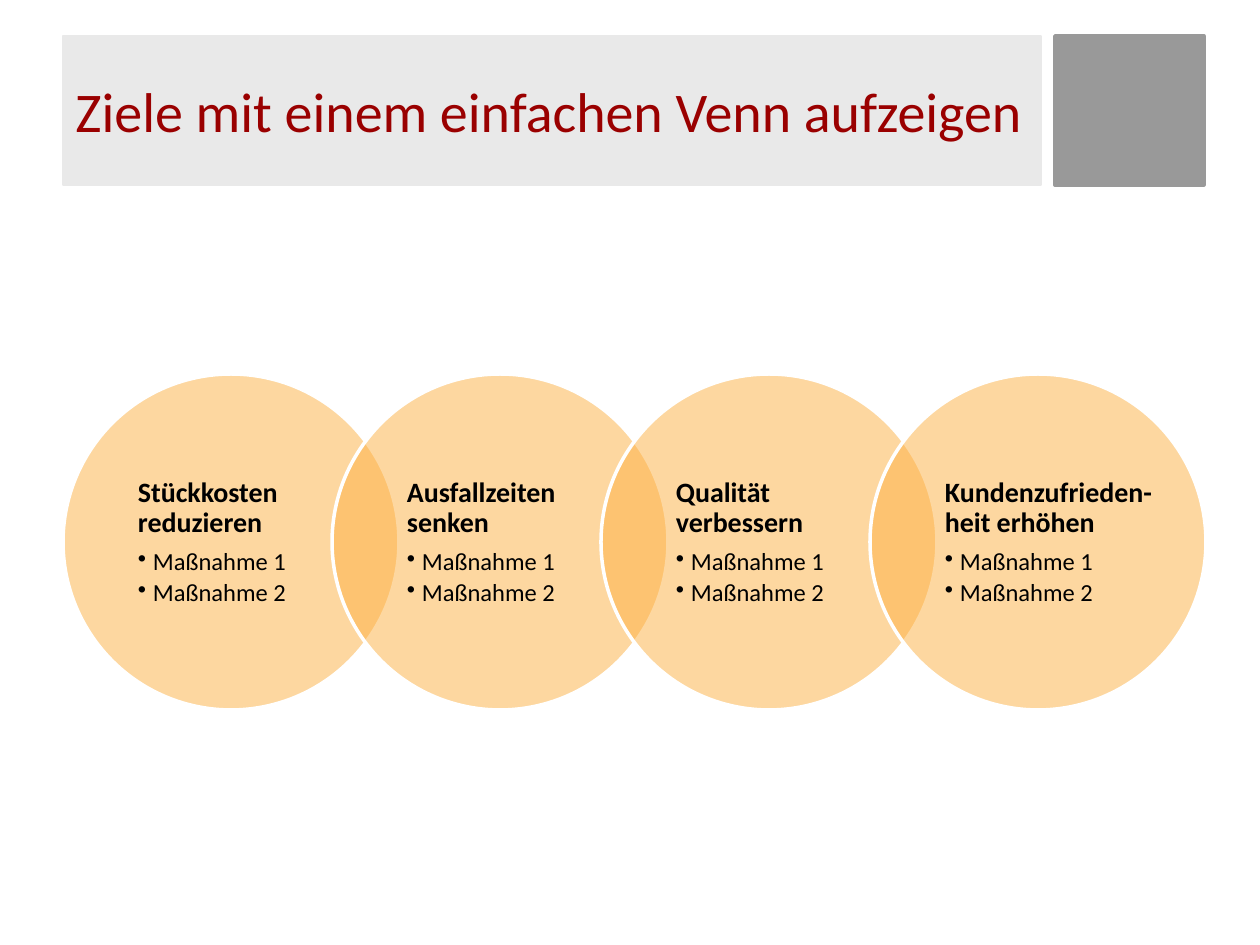
from lxml.etree import SubElement
from pptx import Presentation
from pptx.dml.color import RGBColor
from pptx.enum.shapes import MSO_SHAPE
from pptx.enum.text import MSO_ANCHOR, PP_ALIGN
from pptx.oxml.ns import qn
from pptx.util import Emu, Pt

SCALE = 914400 / 126
COLORS = {
    "title": "9A0000",
    "band": "E9E9E9",
    "block": "999999",
    "circle": "FDB143",
    "edge": "FFFFFF",
    "text": "000000",
}
GOALS = [
    "Stückkosten reduzieren",
    "Ausfallzeiten senken",
    "Qualität verbessern",
    "Kundenzufrieden-heit erhöhen",
]
STEPS = ["Maßnahme 1", "Maßnahme 2"]
LEFT, TOP, SIZE, PITCH = 63, 374, 336, 269


def px(count):
    return Emu(round(count * SCALE))


def color(name):
    return RGBColor.from_string(COLORS[name])


class Board:
    def __init__(self, slide, face="Calibri"):
        self.slide = slide
        self.face = face

    def shape(self, kind, box, fill, line, width):
        item = self.slide.shapes.add_shape(kind, *map(px, box))
        item.shadow.inherit = False
        item.fill.solid()
        item.fill.fore_color.rgb = color(fill)
        item.line.color.rgb = color(line)
        item.line.width = Pt(width)
        return item

    def style(self, para, size, tint, bold=False):
        para.alignment = PP_ALIGN.LEFT
        for run in para.runs:
            font = run.font
            font.name, font.size, font.bold = self.face, Pt(size), bold
            font.color.rgb = color(tint)

    def title(self, text, box):
        frame = self.shape(MSO_SHAPE.RECTANGLE, box, "band", "band", 0.75).text_frame
        frame.text = text
        frame.word_wrap = True
        frame.vertical_anchor = MSO_ANCHOR.MIDDLE
        self.style(frame.paragraphs[0], 32, "title")

    def circle(self, left, top, size):
        """Add a half-transparent circle."""
        item = self.shape(MSO_SHAPE.OVAL, (left, top, size, size), "circle", "edge", 2)
        tint = item.fill._xPr.find(".//" + qn("a:srgbClr"))
        SubElement(tint, qn("a:alpha"), val="50000")

    def bullet(self, para):
        props = para._p.get_or_add_pPr()
        props.set("marL", str(px(15)))
        props.set("indent", str(-px(15)))
        SubElement(props, qn("a:buChar"), char="•")

    def goal(self, head, steps, box):
        """Add a bold heading with its bulleted steps."""
        frame = self.slide.shapes.add_textbox(*map(px, box)).text_frame
        frame.word_wrap = True
        frame.vertical_anchor = MSO_ANCHOR.MIDDLE
        frame.margin_left, frame.margin_right = px(25), 0
        frame.margin_top = frame.margin_bottom = px(3)
        frame.text = "\n".join([head, *steps])
        for rank, para in enumerate(frame.paragraphs):
            para.line_spacing = 0.9
            para.space_after = Pt(2.5 if rank else 6.5)
            if rank:
                para.level = 1
                self.bullet(para)
            self.style(para, 14 if rank else 16, "text", bold=not rank)


def main():
    deck = Presentation()
    deck.slide_width, deck.slide_height = px(1260), px(945)
    board = Board(deck.slides.add_slide(deck.slide_layouts[6]))
    board.shape(MSO_SHAPE.RECTANGLE, (1055, 36, 149, 149), "block", "block", 2)
    board.title("Ziele mit einem einfachen Venn aufzeigen", (63, 36, 978, 149))
    for rank, head in enumerate(GOALS):
        left = LEFT + rank * PITCH
        board.circle(left, TOP, SIZE)
        board.goal(head, STEPS, (left + 50, TOP + 50, 237, 237))
    deck.save("out.pptx")


if __name__ == "__main__":
    main()
